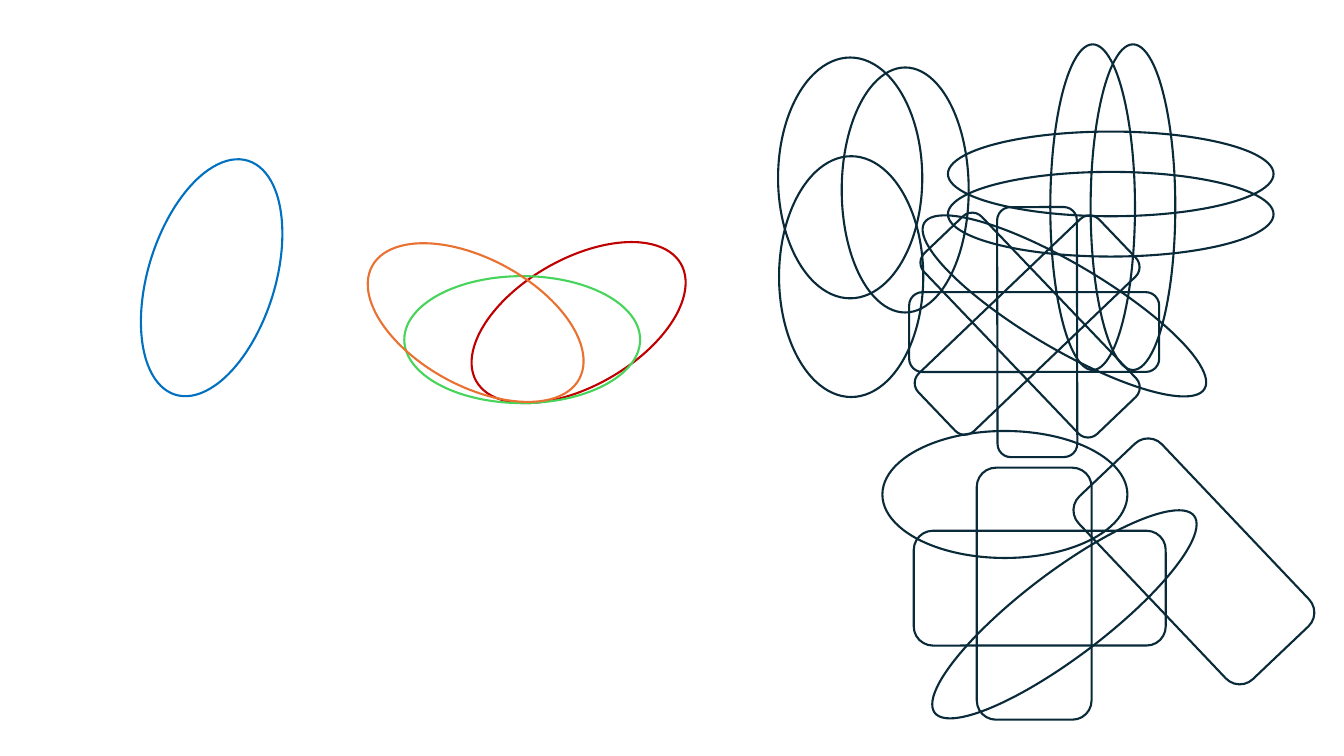
"""Build a slide of overlapping outlined ellipses and rounded rectangles."""
from dataclasses import dataclass

import pptx
import pptx.dml.color
import pptx.enum.shapes
import pptx.slide
import pptx.util

INK = pptx.dml.color.RGBColor(0x09, 0x2A, 0x39)
RED = pptx.dml.color.RGBColor(0xC0, 0x00, 0x00)
BLUE = pptx.dml.color.RGBColor(0x00, 0x70, 0xC0)
GREEN = pptx.dml.color.RGBColor(0x47, 0xD4, 0x5A)
ORANGE = pptx.dml.color.RGBColor(0xE9, 0x71, 0x32)

ELLIPSE = pptx.enum.shapes.MSO_SHAPE.OVAL
ROUNDED = pptx.enum.shapes.MSO_SHAPE.ROUNDED_RECTANGLE


@dataclass(frozen=True)
class Form:
    """A preset outline with its size in points."""
    preset: pptx.enum.shapes.MSO_SHAPE
    width: float
    height: float


BLOCK = Form(ROUNDED, 180, 82)
BAR = Form(ROUNDED, 178.6, 57)
PETAL = Form(ELLIPSE, 60.5, 232.6)
OVAL = Form(ELLIPSE, 103, 172)
TALL_OVAL = Form(ELLIPSE, 90.7, 175)
LEAF = Form(ELLIPSE, 90.7, 168.5)


@dataclass(frozen=True)
class Outline:
    """A form placed by its centre in points and turned by degrees."""
    form: Form
    center_x: float
    center_y: float
    rotation: float = 0
    color: pptx.dml.color.RGBColor = INK


OUTLINES = [
    Outline(BLOCK, 852.8, 401, 46.5),
    Outline(BAR, 733.7, 232.2, 316.3),
    Outline(BLOCK, 742.7, 420.1),
    Outline(BLOCK, 738.7, 424.1, 90),
    Outline(PETAL, 793.4, 124.2, 270),
    Outline(BAR, 735.8, 232.2, 226.3),
    Outline(BAR, 738.7, 237.2),
    Outline(BAR, 740.9, 237.2, 269.9),
    Outline(PETAL, 793.4, 153, 270),
    Outline(PETAL, 780.5, 148),
    Outline(PETAL, 809.3, 148),
    Outline(PETAL, 760.3, 218.5, 300.6),
    Outline(PETAL, 760.3, 438.8, 232.8),
    Outline(OVAL, 608, 197.6),
    Outline(LEAF, 413.3, 230.4, 60.1, RED),
    Outline(TALL_OVAL, 151.2, 198.4, 17.3, BLUE),
    Outline(OVAL, 607.3, 127.1),
    Outline(LEAF, 373, 242.6, 90, GREEN),
    Outline(TALL_OVAL, 717.8, 353.2, 270),
    Outline(LEAF, 339.8, 230.4, 298.6, ORANGE),
    Outline(TALL_OVAL, 646.6, 135.7, 180),
]


def draw_outline(slide: pptx.slide.Slide, outline: Outline) -> None:
    """Draw one unfilled outline on the slide."""
    form = outline.form
    shape = slide.shapes.add_shape(
        form.preset,
        pptx.util.Pt(outline.center_x - form.width / 2),
        pptx.util.Pt(outline.center_y - form.height / 2),
        pptx.util.Pt(form.width),
        pptx.util.Pt(form.height),
    )
    shape.rotation = outline.rotation
    shape.shadow.inherit = False
    shape.fill.background()
    shape.line.color.rgb = outline.color
    shape.line.width = pptx.util.Pt(1.5)


def main() -> None:
    """Create and save the presentation."""
    presentation = pptx.Presentation()
    presentation.slide_width = pptx.util.Pt(960)
    presentation.slide_height = pptx.util.Pt(540)
    slide = presentation.slides.add_slide(presentation.slide_layouts[6])
    for outline in OUTLINES:
        draw_outline(slide, outline)
    presentation.save("out.pptx")


if __name__ == "__main__":
    main()
